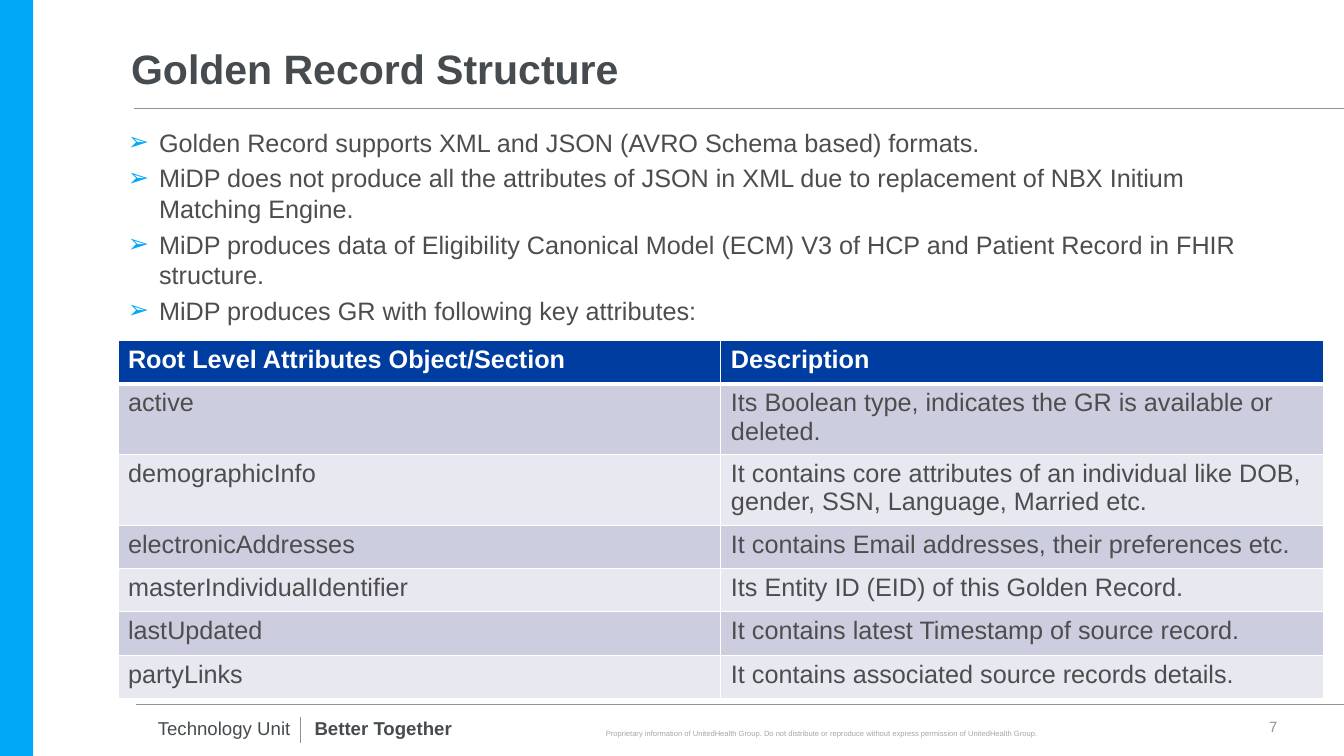
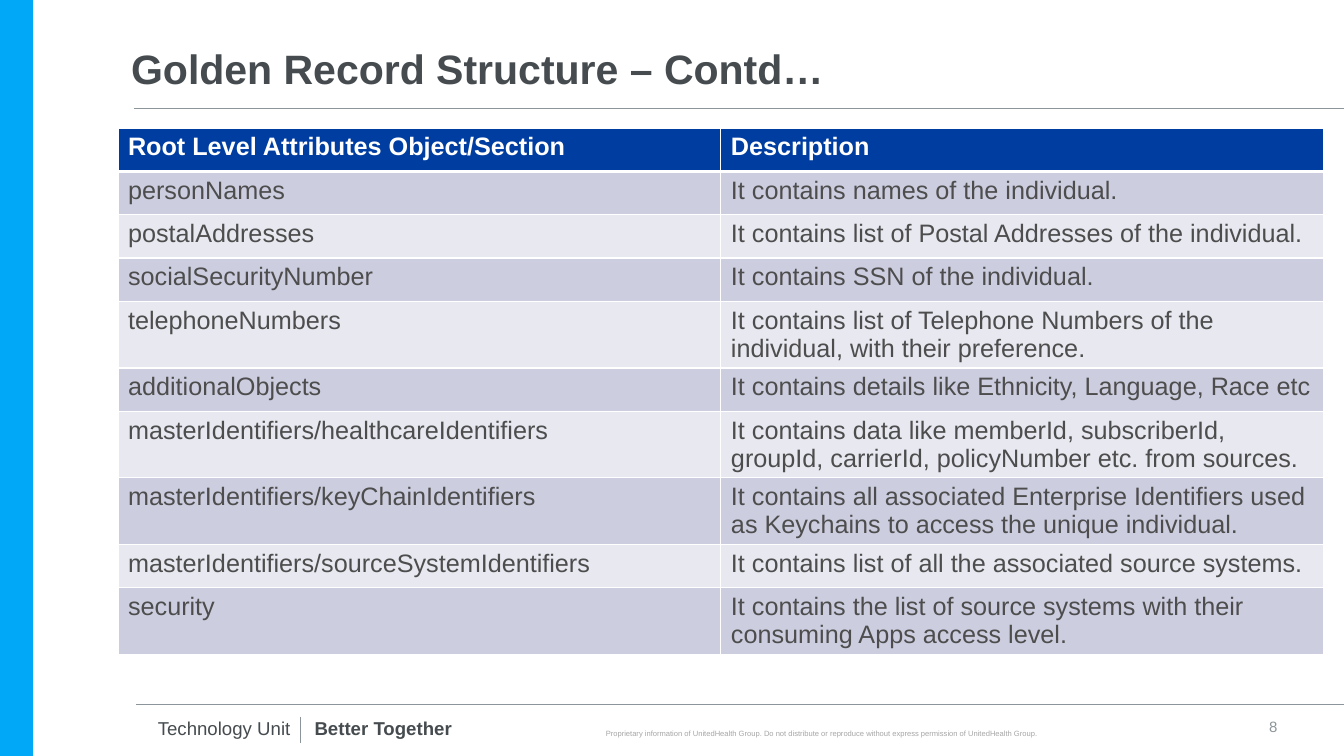
"""Build two slides that describe the structure of the Golden Record."""
from lxml.etree import SubElement
from pptx import Presentation
from pptx.dml.color import RGBColor
from pptx.enum.shapes import MSO_CONNECTOR, MSO_SHAPE
from pptx.enum.text import MSO_ANCHOR, PP_ALIGN
from pptx.oxml.ns import qn
from pptx.util import Inches, Pt

FONT = "Arial"
WHITE = RGBColor(0xFF, 0xFF, 0xFF)
SKY = RGBColor(0x00, 0xA8, 0xF7)
BLUE = RGBColor(0x00, 0x3D, 0xA1)
SLATE = RGBColor(0x45, 0x4B, 0x4E)
TEXT = RGBColor(0x4D, 0x4D, 0x4D)
RULE = RGBColor(0x8C, 0x95, 0x99)
NOTICE_GRAY = RGBColor(0xA6, 0xA6, 0xA6)
BANDS = (RGBColor(0xCC, 0xCE, 0xE0), RGBColor(0xE7, 0xE8, 0xF0))

NOTICE = (
    "Proprietary information of UnitedHealth Group. Do not distribute or "
    "reproduce without express permission of UnitedHealth Group."
)
HEADER = ("Root Level Attributes Object/Section", "Description")
COLUMN_WIDTH = 5.98
ROW_HEIGHT = 0.43
CHARACTERS_PER_LINE = 56

SLIDES = [
    {
        "number": 7,
        "title": "Golden Record Structure",
        "bullets": [
            "Golden Record supports XML and JSON (AVRO Schema based) formats.",
            "MiDP does not produce all the attributes of JSON in XML due to "
            "replacement of NBX Initium Matching Engine.",
            "MiDP produces data of Eligibility Canonical Model (ECM) V3 of HCP "
            "and Patient Record in FHIR structure.",
            "MiDP produces GR with following key attributes:",
        ],
        "table_top": 3.38,
        "tall_row": 0.7,
        "rows": [
            ("active", "Its Boolean type, indicates the GR is available or deleted."),
            ("demographicInfo", "It contains core attributes of an individual like DOB, "
             "gender, SSN, Language, Married etc."),
            ("electronicAddresses", "It contains Email addresses, their preferences etc."),
            ("masterIndividualIdentifier", "Its Entity ID (EID) of this Golden Record."),
            ("lastUpdated", "It contains latest Timestamp of source record."),
            ("partyLinks", "It contains associated source records details."),
        ],
    },
    {
        "number": 8,
        "title": "Golden Record Structure – Contd…",
        "bullets": [],
        "table_top": 1.27,
        "tall_row": 0.66,
        "rows": [
            ("personNames", "It contains names of the individual."),
            ("postalAddresses", "It contains list of Postal Addresses of the individual."),
            ("socialSecurityNumber", "It contains SSN of the individual."),
            ("telephoneNumbers", "It contains list of Telephone Numbers of the "
             "individual, with their preference."),
            ("additionalObjects", "It contains details like Ethnicity, Language, Race etc"),
            ("masterIdentifiers/healthcareIdentifiers", "It contains data like memberId, "
             "subscriberId, groupId, carrierId, policyNumber etc. from sources."),
            ("masterIdentifiers/keyChainIdentifiers", "It contains all associated Enterprise "
             "Identifiers used as Keychains to access the unique individual."),
            ("masterIdentifiers/sourceSystemIdentifiers",
             "It contains list of all the associated source systems."),
            ("security", "It contains the list of source systems with their consuming "
             "Apps access level."),
        ],
    },
]


def add_run(paragraph, text, color, size, bold=False):
    """Add one formatted run to a paragraph."""
    run = paragraph.add_run()
    run.text = text
    run.font.name = FONT
    run.font.size = Pt(size)
    run.font.bold = bold
    run.font.color.rgb = color


def add_text_box(slide, box, anchor, margins):
    """Add a wrapping text box and return its text frame."""
    frame = slide.shapes.add_textbox(*map(Inches, box)).text_frame
    frame.word_wrap = True
    frame.vertical_anchor = anchor
    frame.margin_left = frame.margin_right = Inches(margins[0])
    frame.margin_top = frame.margin_bottom = Inches(margins[1])
    return frame


presentation = Presentation()
presentation.slide_width = Inches(13.33)
presentation.slide_height = Inches(7.5)
middle, bottom = MSO_ANCHOR.MIDDLE, MSO_ANCHOR.BOTTOM
left, center, right = PP_ALIGN.LEFT, PP_ALIGN.CENTER, PP_ALIGN.RIGHT

for content in SLIDES:
    slide = presentation.slides.add_slide(presentation.slide_layouts[6])

    side_band = slide.shapes.add_shape(
        MSO_SHAPE.RECTANGLE, 0, 0, Inches(0.33), presentation.slide_height
    )
    side_band.shadow.inherit = False
    side_band.fill.solid()
    side_band.fill.fore_color.rgb = SKY
    side_band.line.fill.background()

    for ends, width in (
        ((1.33, 1.08, 13.33, 1.08), 0.5),
        ((1.35, 6.99, 13.33, 6.99), 0.5),
        ((2.98, 7.11, 2.98, 7.37), 0.75),
    ):
        connector = slide.shapes.add_connector(MSO_CONNECTOR.STRAIGHT, *map(Inches, ends))
        connector.line.color.rgb = RULE
        connector.line.width = Pt(width)
        SubElement(connector._element.spPr, qn("a:effectLst"))

    for box, anchor, margins, alignment, spacing, text, color, size, bold in (
        ((1.17, 0.32, 9.78, 0.77), middle, (0.13, 0.07), left, 0.9,
         content["title"], SLATE, 29.3, True),
        ((5.23, 7.23, 5.83, 0.09), bottom, (0, 0), center, 1.0,
         NOTICE, NOTICE_GRAY, 5.4, False),
        ((1.02, 7.07, 1.96, 0.34), middle, (0.1, 0.05), right, 0.9,
         "Technology Unit", SLATE, 13.3, False),
        ((3.12, 7.11, 1.7, 0.22), middle, (0, 0), left, 1.0,
         "Better Together", SLATE, 13.3, True),
        ((11.11, 7.12, 1.56, 0.18), bottom, (0, 0), right, 1.0,
         str(content["number"]), RULE, 10.7, False),
    ):
        paragraph = add_text_box(slide, box, anchor, margins).paragraphs[0]
        paragraph.alignment = alignment
        paragraph.line_spacing = spacing
        add_run(paragraph, text, color, size, bold)

    if content["bullets"]:
        frame = add_text_box(slide, (1.17, 1.21, 11.63, 2.09), MSO_ANCHOR.TOP, (0.1, 0.05))
        for index, text in enumerate(content["bullets"]):
            paragraph = frame.add_paragraph() if index else frame.paragraphs[0]
            paragraph.space_after = Pt(4)
            properties = paragraph._p.get_or_add_pPr()
            properties.set("marL", str(Inches(0.31)))
            properties.set("indent", str(-Inches(0.31)))
            bullet_color = SubElement(properties, qn("a:buClr"))
            SubElement(bullet_color, qn("a:srgbClr"), val=str(SKY))
            SubElement(properties, qn("a:buFont"), typeface=FONT)
            SubElement(properties, qn("a:buChar"), char="➢")
            add_run(paragraph, text, TEXT, 18)

    rows = [HEADER] + content["rows"]
    heights = [
        content["tall_row"] if len(description) > CHARACTERS_PER_LINE else ROW_HEIGHT
        for _, description in rows
    ]
    table = slide.shapes.add_table(
        len(rows), 2, Inches(1.17), Inches(content["table_top"]),
        Inches(2 * COLUMN_WIDTH), Inches(sum(heights)),
    ).table
    for column in table.columns:
        column.width = Inches(COLUMN_WIDTH)
    for row_index, (values, height) in enumerate(zip(rows, heights)):
        table.rows[row_index].height = Inches(height)
        is_header = row_index == 0
        for column_index, text in enumerate(values):
            cell = table.cell(row_index, column_index)
            cell.margin_bottom = Inches(0.01)
            properties = cell._tc.get_or_add_tcPr()
            for side in ("L", "R", "T", "B"):
                thick = (side, row_index) in (("B", 0), ("T", 1))
                border = SubElement(properties, qn(f"a:ln{side}"), w=str(Pt(3 if thick else 1)))
                SubElement(SubElement(border, qn("a:solidFill")), qn("a:srgbClr"), val=str(WHITE))
            cell.fill.solid()
            cell.fill.fore_color.rgb = BLUE if is_header else BANDS[(row_index - 1) % 2]
            color = WHITE if is_header else TEXT
            add_run(cell.text_frame.paragraphs[0], text, color, 18, is_header)

presentation.save("out.pptx")
